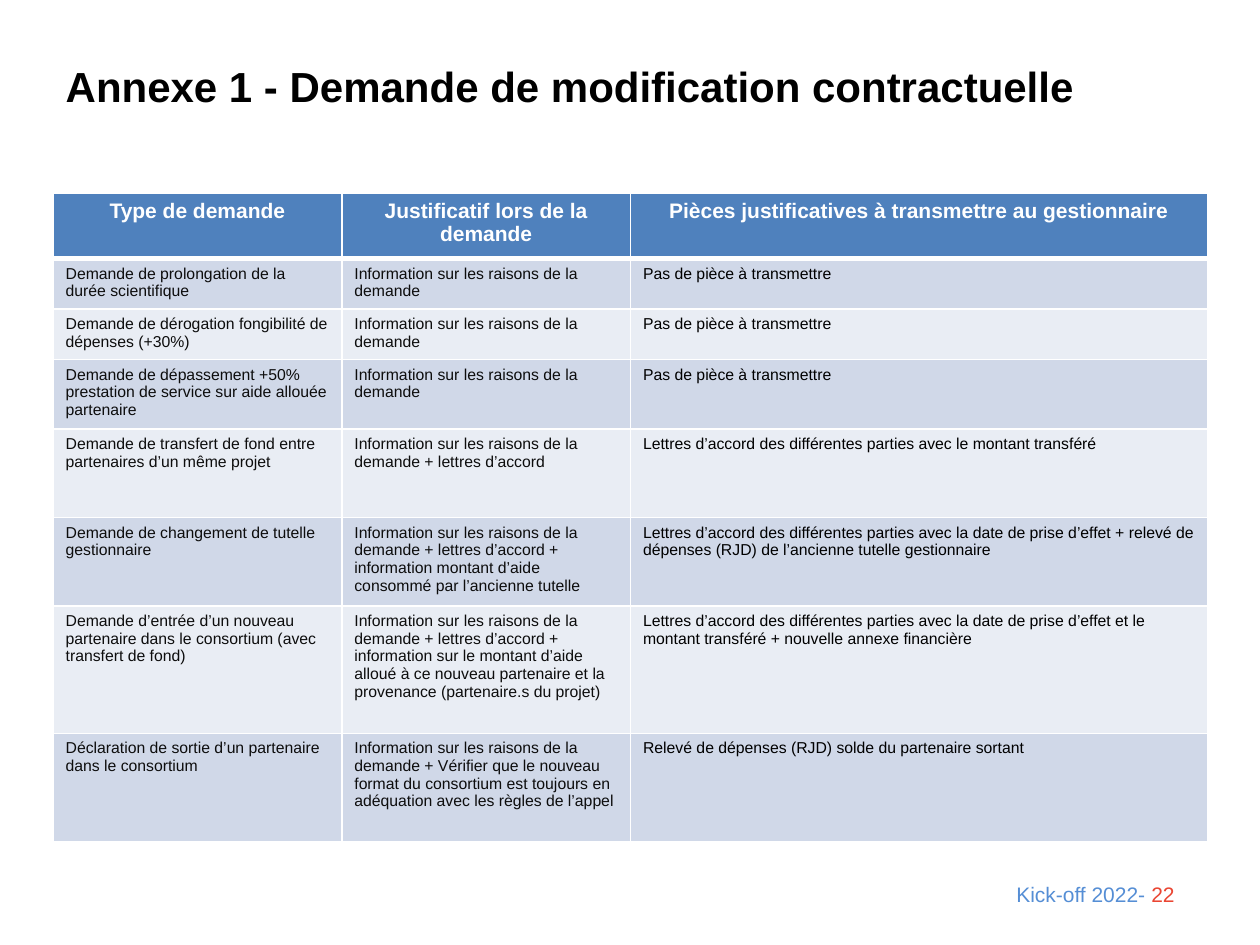
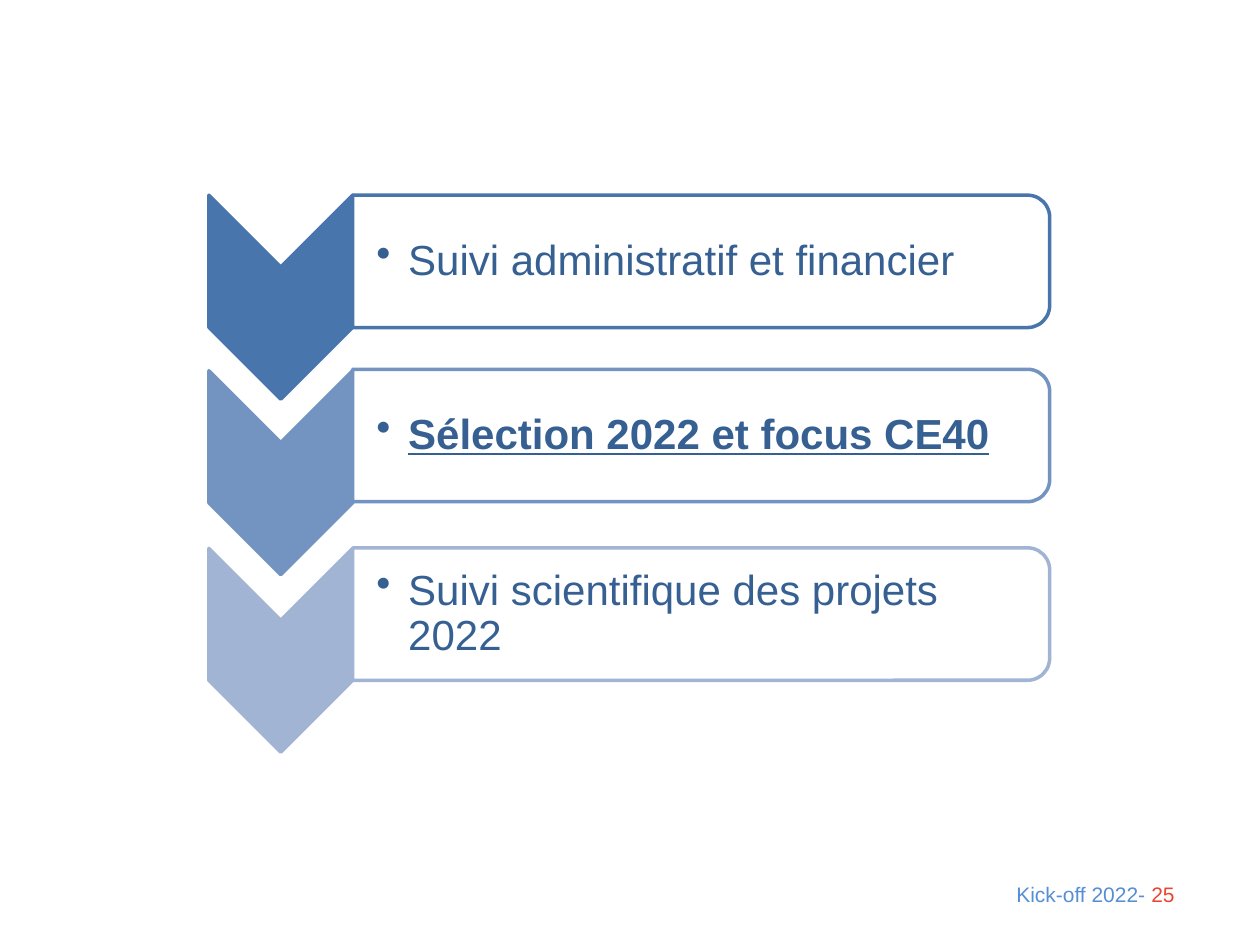
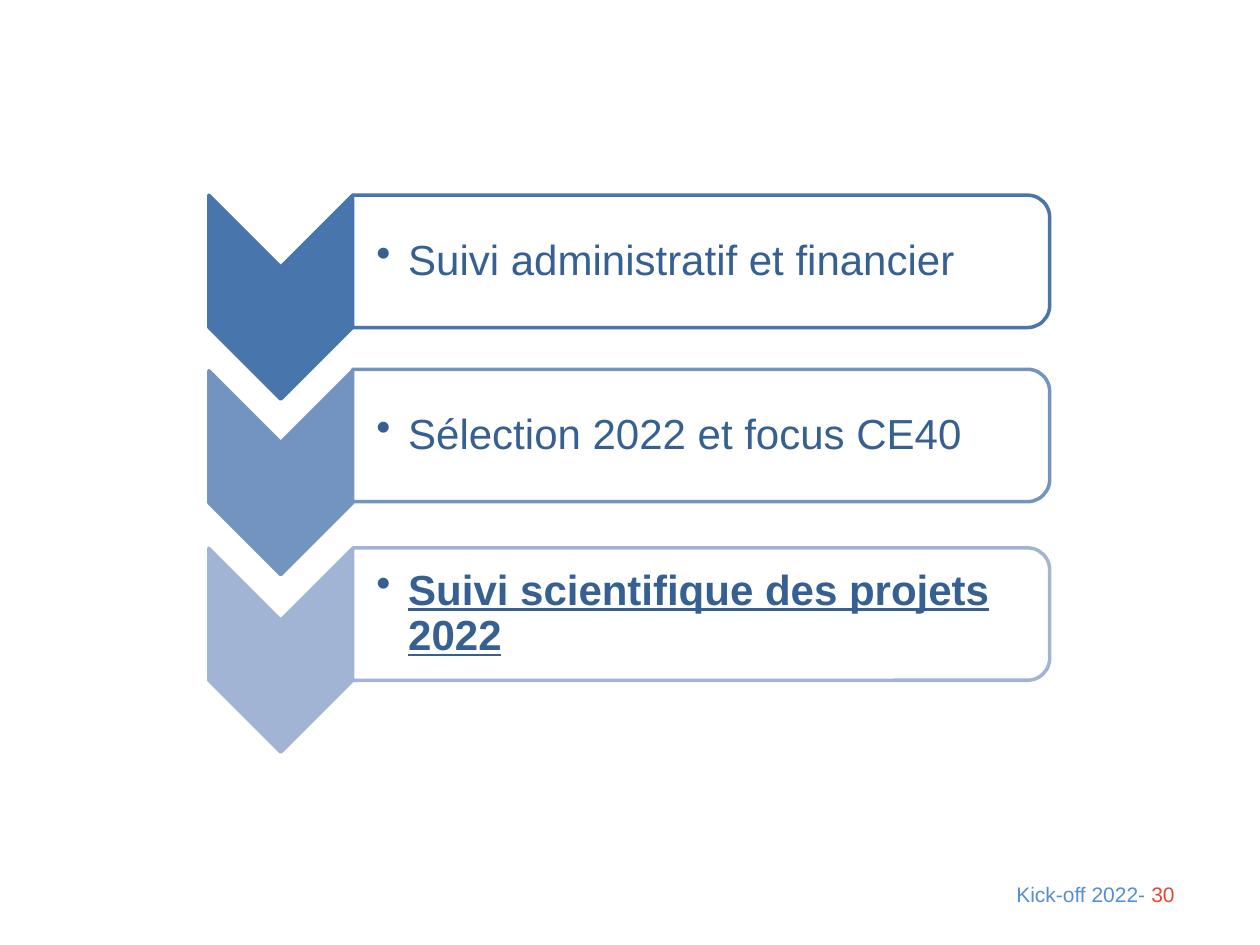
from lxml import etree
from pptx import Presentation
from pptx.dml.color import RGBColor
from pptx.enum.shapes import MSO_SHAPE as SHAPE
from pptx.enum.text import MSO_ANCHOR as ANCHOR, PP_ALIGN as ALIGN
from pptx.oxml.ns import qn
from pptx.util import Cm, Pt

FONT = "Arial"
BLACK = RGBColor(0x00, 0x00, 0x00)
WHITE = RGBColor(0xFF, 0xFF, 0xFF)
INK = RGBColor(0x0D, 0x0D, 0x0D)
HEADER_BLUE = RGBColor(0x4F, 0x81, 0xBD)
BAND_DARK = RGBColor(0xD0, 0xD8, 0xE8)
BAND_LIGHT = RGBColor(0xE9, 0xED, 0xF4)
AGENDA_BLUE = RGBColor(0x37, 0x60, 0x92)
FOOTER_BLUE = RGBColor(0x55, 0x8E, 0xD5)
FOOTER_RED = RGBColor(0xEA, 0x45, 0x32)

LAYOUT_TITLE_ONLY, LAYOUT_BLANK = 5, 6

REASONS = "Information sur les raisons de la demande"
NO_DOCUMENT = "Pas de pièce à transmettre"
LETTERS = "Lettres d’accord des différentes parties avec"
REQUEST_COLUMNS = [5.82, 5.82, 11.63]
REQUEST_HEADER = ["Type de demande", "Justificatif lors de la demande",
                  "Pièces justificatives à transmettre au gestionnaire"]
HEADER_HEIGHT = 1.32
# Row height in cm, then the three cells
REQUESTS = [
    (1.02, "Demande de prolongation de la durée scientifique", REASONS, NO_DOCUMENT),
    (1.02, "Demande de dérogation fongibilité de dépenses (+30%)", REASONS, NO_DOCUMENT),
    (1.4, "Demande de dépassement +50% prestation de service sur aide allouée partenaire",
     REASONS, NO_DOCUMENT),
    (1.78, "Demande de transfert de fond entre partenaires d’un même projet",
     f"{REASONS} + lettres d’accord", f"{LETTERS} le montant transféré"),
    (1.78, "Demande de changement de tutelle gestionnaire",
     f"{REASONS} + lettres d’accord + information montant d’aide consommé "
     "par l’ancienne tutelle",
     f"{LETTERS} la date de prise d’effet + relevé de dépenses (RJD) "
     "de l’ancienne tutelle gestionnaire"),
    (2.57, "Demande d’entrée d’un nouveau partenaire dans le consortium "
     "(avec transfert de fond)",
     f"{REASONS} + lettres d’accord + information sur le montant d’aide alloué "
     "à ce nouveau partenaire et la provenance (partenaire.s du projet)",
     f"{LETTERS} la date de prise d’effet et le montant transféré "
     "+ nouvelle annexe financière"),
    (2.18, "Déclaration de sortie d’un partenaire dans le consortium",
     f"{REASONS} + Vérifier que le nouveau format du consortium est toujours "
     "en adéquation avec les règles de l’appel",
     "Relevé de dépenses (RJD) solde du partenaire sortant"),
]

# Text, colour, vertical centre of the chevron and of the bar in cm
AGENDA = [
    ("Suivi administratif et financier", RGBColor(0x48, 0x75, 0xAC), 5.99, 5.27),
    ("Sélection 2022 et focus CE40", RGBColor(0x73, 0x93, 0xC1), 9.53, 8.78),
    ("Suivi scientifique des projets 2022", RGBColor(0xA2, 0xB4, 0xD4), 13.11, 12.38),
]
CHEVRON_CENTRE_X, CHEVRON_LENGTH, CHEVRON_WIDTH = 5.66, 4.11, 2.9
BAR_LEFT, BAR_LENGTH, BAR_HEIGHT = 7.11, 14.05, 2.67
LABEL_WIDTH, LABEL_HEIGHT = 13.92, 2.41


def set_font(p, size, color, bold=False, underline=False):
    font = p.font
    font.name, font.size, font.bold, font.underline = FONT, Pt(size), bold, underline
    font.color.rgb = color


def add_slide(prs, layout, number):
    """Add a slide with the shared footer."""
    slide = prs.slides.add_slide(prs.slide_layouts[layout])
    box = slide.shapes.add_textbox(Cm(16.08), Cm(17.65), Cm(7.85), Cm(1.02))
    tf = box.text_frame
    tf.word_wrap = True
    p = tf.paragraphs[0]
    p.alignment = ALIGN.RIGHT
    for text, color in (("Kick-off 2022- ", FOOTER_BLUE), (str(number), FOOTER_RED)):
        r = p.add_run()
        r.text = text
        r.font.name, r.font.size = FONT, Pt(12)
        r.font.color.rgb = color
    return slide


def set_title(slide, text):
    title = slide.shapes.title
    title.left, title.top, title.width, title.height = Cm(1.07), Cm(0.81), Cm(23.7), Cm(1.83)
    tf = title.text_frame
    tf.text = text
    tf.vertical_anchor = ANCHOR.MIDDLE
    p = tf.paragraphs[0]
    p.alignment = ALIGN.LEFT
    set_font(p, 24, BLACK, bold=True)


def set_borders(cell, top=1, bottom=1):
    """Draw white cell borders; widths are in points."""
    tc_pr = cell._tc.get_or_add_tcPr()
    for side, width in (("L", 1), ("R", 1), ("T", top), ("B", bottom)):
        ln = etree.SubElement(tc_pr, qn(f"a:ln{side}"), w=str(Pt(width)))
        fill = etree.SubElement(ln, qn("a:solidFill"))
        etree.SubElement(fill, qn("a:srgbClr"), val=str(WHITE))


def fill_cell(cell, text, fill, size, color, bold=False, align=ALIGN.LEFT):
    cell.fill.solid()
    cell.fill.fore_color.rgb = fill
    cell.text = text
    p = cell.text_frame.paragraphs[0]
    p.alignment = align
    set_font(p, size, color, bold)


def add_request_table(slide):
    heights = [HEADER_HEIGHT] + [request[0] for request in REQUESTS]
    table = slide.shapes.add_table(len(heights), len(REQUEST_COLUMNS), Cm(1.07), Cm(3.89),
                                   Cm(sum(REQUEST_COLUMNS)), Cm(sum(heights))).table
    for column, width in zip(table.columns, REQUEST_COLUMNS):
        column.width = Cm(width)
    for row, height in zip(table.rows, heights):
        row.height = Cm(height)
    for cell, text in zip(table.rows[0].cells, REQUEST_HEADER):
        set_borders(cell, bottom=3)
        fill_cell(cell, text, HEADER_BLUE, 12, WHITE, True, ALIGN.CENTER)
    for i, (_, *texts) in enumerate(REQUESTS, start=1):
        band = BAND_DARK if i % 2 else BAND_LIGHT
        for cell, text, color in zip(table.rows[i].cells, texts, (INK, INK, BLACK)):
            set_borders(cell, top=3 if i == 1 else 1)
            fill_cell(cell, text, band, 9, color)


def add_turned_shape(slide, kind, centre_x, centre_y, width, height, fill, line):
    """Add a shape turned a quarter; width and height are those before the turn."""
    sp = slide.shapes.add_shape(kind, Cm(centre_x - width / 2), Cm(centre_y - height / 2),
                                Cm(width), Cm(height))
    sp.rotation = 90
    sp.shadow.inherit = False
    sp.fill.solid()
    sp.fill.fore_color.rgb = fill
    sp.line.color.rgb = line
    sp.line.width = Pt(2)


def add_bullet_label(slide, text, centre_y, current):
    box = slide.shapes.add_textbox(Cm(BAR_LEFT), Cm(centre_y - LABEL_HEIGHT / 2),
                                   Cm(LABEL_WIDTH), Cm(LABEL_HEIGHT))
    tf = box.text_frame
    tf.word_wrap = True
    tf.vertical_anchor = ANCHOR.MIDDLE
    tf.margin_left = Cm(0.48)
    tf.margin_top = tf.margin_right = tf.margin_bottom = Cm(0.05)
    p = tf.paragraphs[0]
    p.text = text
    p.line_spacing = 0.9
    p_pr = p._p.get_or_add_pPr()
    indent = Cm(0.64)
    p_pr.set("marL", str(indent))
    p_pr.set("indent", str(-indent))
    etree.SubElement(p_pr, qn("a:buChar"), char="•")
    set_font(p, 24, AGENDA_BLUE, bold=current, underline=current)


def add_agenda(slide, current):
    """Draw the agenda with the item of index current emphasised."""
    for i, (text, color, chevron_y, bar_y) in enumerate(AGENDA):
        add_turned_shape(slide, SHAPE.CHEVRON, CHEVRON_CENTRE_X, chevron_y,
                         CHEVRON_LENGTH, CHEVRON_WIDTH, color, color)
        add_turned_shape(slide, SHAPE.ROUND_2_SAME_RECTANGLE, BAR_LEFT + BAR_LENGTH / 2, bar_y,
                         BAR_HEIGHT, BAR_LENGTH, WHITE, color)
        add_bullet_label(slide, text, bar_y, i == current)


def main():
    prs = Presentation()
    prs.slide_width, prs.slide_height = Cm(25.4), Cm(19.05)
    slide = add_slide(prs, LAYOUT_TITLE_ONLY, 22)
    set_title(slide, "Annexe 1 - Demande de modification contractuelle")
    add_request_table(slide)
    for number, current in ((25, 1), (30, 2)):
        add_agenda(add_slide(prs, LAYOUT_BLANK, number), current)
    prs.save("out.pptx")


if __name__ == "__main__":
    main()
